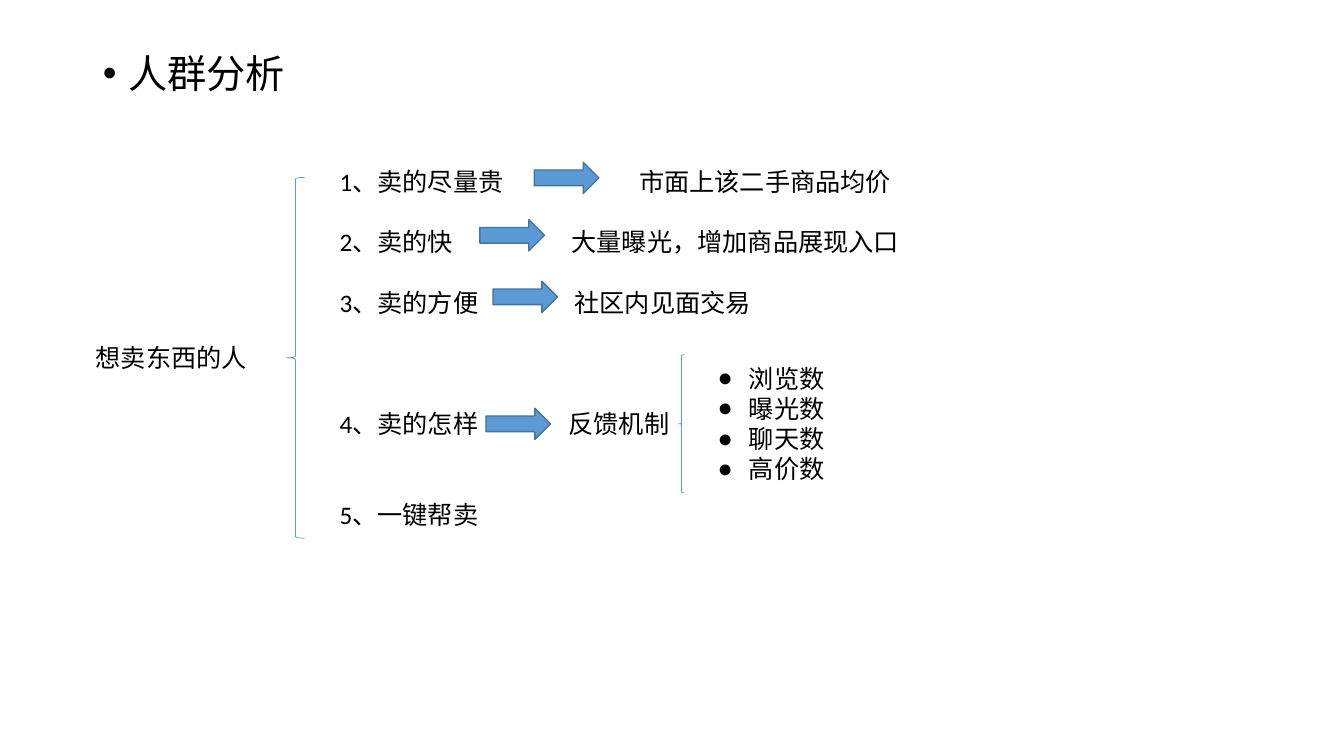
import pptx
import pptx.util
import pptx.dml.color
import pptx.enum.shapes
import pptx.enum.text
from dataclasses import dataclass
from lxml import etree
from pptx.util import Inches, Pt

HUES = {"text": "000000", "fill": "5B9BD5", "edge": "43739E"}
KINDS = pptx.enum.shapes.MSO_SHAPE
LINE = 21.6
NS = "{http://schemas.openxmlformats.org/drawingml/2006/main}"


@dataclass
class Box:
    left: float
    top: float
    width: float
    height: float

    def place(self) -> list:
        return [Inches(n) for n in (self.left, self.top, self.width, self.height)]


@dataclass
class Need:
    text: str
    reply: str = ""
    tab: float = 0
    gap: int = 1


NEEDS = [
    Need("1、卖的尽量贵", "市面上该二手商品均价", 2.97, 0),
    Need("2、卖的快", "大量曝光，增加商品展现入口", 2.3),
    Need("3、卖的方便", "社区内见面交易", 2.33),
    Need("4、卖的怎样", "反馈机制", 2.27, 3),
    Need("5、一键帮卖", gap=2),
]
COUNTS = ["浏览数", "曝光数", "聊天数", "高价数"]
BRACES = [Box(6.73, 3.52, 0.06, 1.37), Box(2.84, 1.76, 0.18, 3.58)]
ARROWS = [Box(left, top, 0.64, 0.31) for left, top in
          [(5.3, 1.61), (4.76, 2.18), (4.89, 2.79), (4.82, 4.05)]]


def color(key: str) -> pptx.dml.color.RGBColor:
    return pptx.dml.color.RGBColor.from_string(HUES[key])


def style(para, size: float) -> None:
    para.font.name = "Calibri"
    para.font.size = Pt(size)
    para.font.color.rgb = color("text")


def bullet(para, mark: str, dent: float) -> None:
    props = para._p.get_or_add_pPr()
    props.set("marL", str(Inches(dent)))
    props.set("indent", str(-Inches(dent)))
    etree.SubElement(props, NS + "buFont", typeface="Arial")
    etree.SubElement(props, NS + "buChar", char=mark)


def stop(para, tab: float) -> None:
    tabs = etree.SubElement(para._p.get_or_add_pPr(), NS + "tabLst")
    etree.SubElement(tabs, NS + "tab", pos=str(Inches(tab)), algn="l")


def write(slide, box: Box, lines: list[str]) -> list:
    frame = slide.shapes.add_textbox(*box.place()).text_frame
    frame.word_wrap = True
    frame.auto_size = pptx.enum.text.MSO_AUTO_SIZE.SHAPE_TO_FIT_TEXT
    frame.text = "\n".join(lines)
    for para in frame.paragraphs:
        style(para, 18)
    return list(frame.paragraphs)


def draw(slide, kind: KINDS, box: Box, edge: str, width: float):
    shape = slide.shapes.add_shape(kind, *box.place())
    shape.shadow.inherit = False
    shape.fill.background()
    shape.line.color.rgb = color(edge)
    shape.line.width = Pt(width)
    return shape


def head(slide) -> None:
    title = slide.shapes.title
    title._element.getparent().remove(title._element)
    body = slide.placeholders[1]
    body.left, body.top, body.width, body.height = Box(0.92, 0.49, 11.5, 6.29).place()
    body.text_frame.text = "人群分析"
    para = body.text_frame.paragraphs[0]
    style(para, 28)
    para.line_spacing = 0.9
    para.space_before = Pt(10)
    bullet(para, "•", 0.25)


def main() -> None:
    deck = pptx.Presentation()
    deck.slide_width, deck.slide_height = Inches(13.33), Inches(7.5)
    slide = deck.slides.add_slide(deck.slide_layouts[1])
    head(slide)
    write(slide, Box(0.85, 3.35, 1.99, 0.4), ["想卖东西的人"])

    lines = [f"{need.text}\t{need.reply}" if need.reply else need.text for need in NEEDS]
    for para, need in zip(write(slide, Box(3.27, 1.6, 6.43, 3.74), lines), NEEDS):
        para.space_before = Pt(need.gap * LINE)
        if need.reply:
            stop(para, need.tab)

    for para in write(slide, Box(7.02, 3.55, 1.55, 1.31), COUNTS):
        bullet(para, "●", 0.31)

    for box in BRACES:
        draw(slide, KINDS.LEFT_BRACE, box, "fill", 0.5)
    for box in ARROWS:
        arrow = draw(slide, KINDS.RIGHT_ARROW, box, "edge", 1)
        arrow.fill.solid()
        arrow.fill.fore_color.rgb = color("fill")
    deck.save("out.pptx")


if __name__ == "__main__":
    main()
